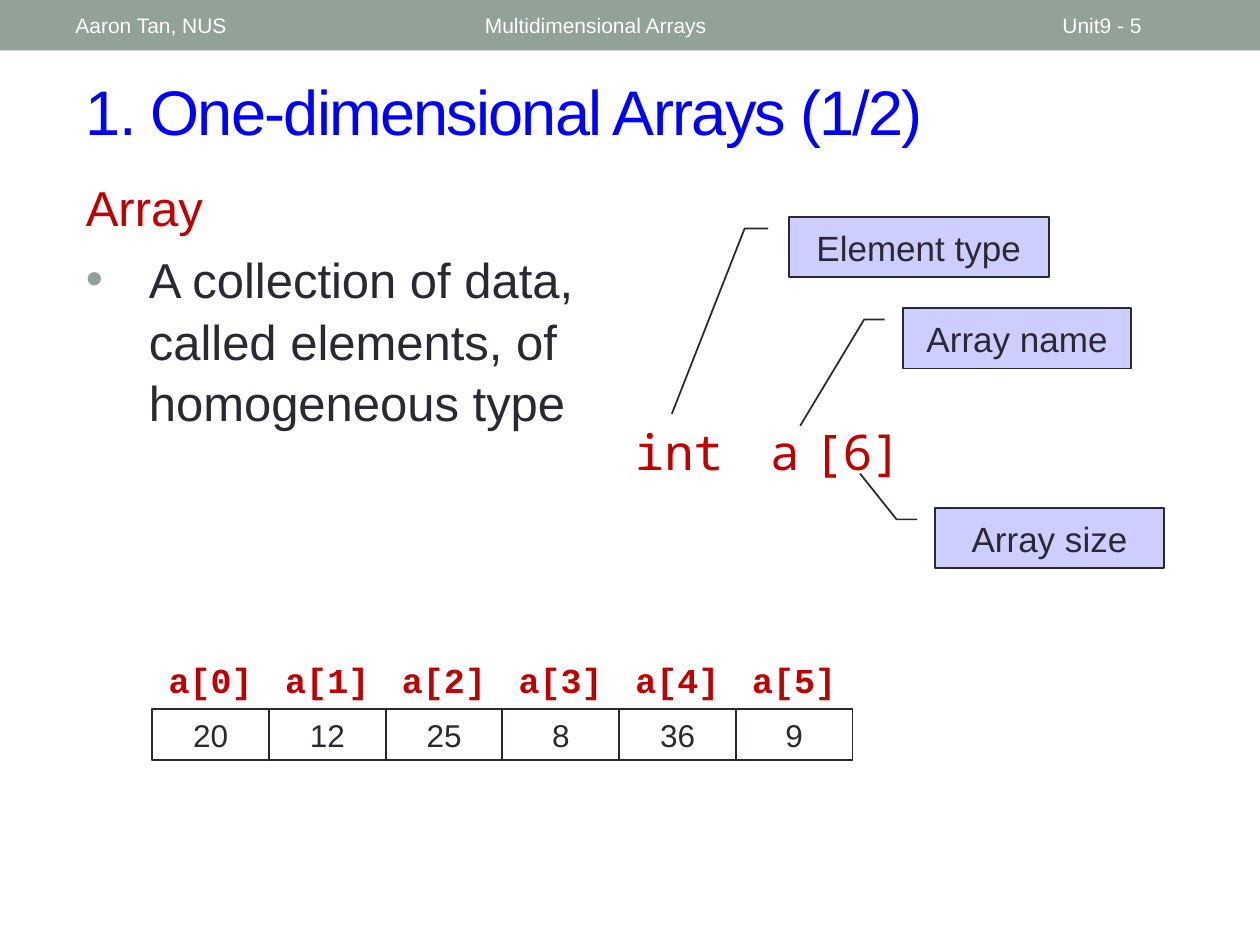
"""Build a slide that introduces one-dimensional arrays."""
import pptx
import pptx.dml.color
import pptx.enum.shapes
import pptx.enum.text
import pptx.oxml
import pptx.oxml.ns
import pptx.util

Pt = pptx.util.Pt
RGBColor = pptx.dml.color.RGBColor
SHAPES = pptx.enum.shapes.MSO_SHAPE
ALIGN = pptx.enum.text.PP_ALIGN
ANCHOR = pptx.enum.text.MSO_ANCHOR

SAGE = RGBColor(0x93, 0xA2, 0x99)
BLUE = RGBColor(0x00, 0x00, 0xFF)
RED = RGBColor(0xC0, 0x00, 0x00)
INK = RGBColor(0x29, 0x29, 0x34)
LAVENDER = RGBColor(0xCD, 0xCD, 0xFF)
WHITE = RGBColor(0xFF, 0xFF, 0xFF)


class SlideBuilder:
    """Hold the slide and its style, and add each kind of element."""

    def __init__(self, slide):
        self.slide = slide
        self.base = {"name": "Arial", "size": Pt(18), "bold": False}

    def add_text(self, paragraph, text, color, alignment=ALIGN.LEFT, **formats):
        paragraph.alignment = alignment
        run = paragraph.add_run()
        run.text = text
        for name, value in {**self.base, **formats}.items():
            setattr(run.font, name, value)
        run.font.color.rgb = color
        return run

    def text_box(self, bounds, anchor=ANCHOR.TOP):
        frame = self.slide.shapes.add_textbox(*map(Pt, bounds)).text_frame
        frame.word_wrap = True
        frame.vertical_anchor = anchor
        return frame

    def label(self, bounds, text, color, alignment=ALIGN.LEFT, anchor=ANCHOR.TOP, **formats):
        frame = self.text_box(bounds, anchor)
        return self.add_text(frame.paragraphs[0], text, color, alignment, **formats)

    def box(self, bounds, text="", fill=None, line=INK, kind=SHAPES.RECTANGLE, **formats):
        shape = self.slide.shapes.add_shape(kind, *map(Pt, bounds))
        shape.shadow.inherit = False
        for part, color in ((shape.fill, fill), (shape.line.fill, line)):
            if color is None:
                part.background()
            else:
                part.solid()
                part.fore_color.rgb = color
        if line is not None:
            shape.line.width = Pt(1)
        if text:
            shape.text_frame.vertical_anchor = ANCHOR.MIDDLE
            self.add_text(shape.text_frame.paragraphs[0], text, INK, ALIGN.CENTER, **formats)
        return shape

    def callout(self, bounds, text, tip_y, tip_x):
        shape = self.box(bounds, text, LAVENDER, kind=SHAPES.LINE_CALLOUT_2, size=Pt(20))
        for index, value in enumerate((0.19, -0.08, 0.19, -0.17, tip_y, tip_x)):
            shape.adjustments[index] = value

    def hang(self, paragraph, bullet=None):
        properties = paragraph._p.get_or_add_pPr()
        properties.set("marL", str(Pt(36)))
        properties.set("indent", str(-Pt(36)))
        namespace = pptx.oxml.ns.nsdecls("a")
        if bullet:
            elements = (
                f'<a:buClr {namespace}><a:srgbClr val="{SAGE}"/></a:buClr>',
                f'<a:buFont {namespace} typeface="Arial"/>',
                f'<a:buChar {namespace} char="{bullet}"/>',
            )
        else:
            elements = (f"<a:buNone {namespace}/>",)
        for element in elements:
            properties.append(pptx.oxml.parse_xml(element))


def main():
    presentation = pptx.Presentation()
    presentation.slide_width, presentation.slide_height = Pt(720), Pt(540)
    builder = SlideBuilder(presentation.slides.add_slide(presentation.slide_layouts[6]))

    builder.box((0, 0, 720, 28.8), fill=SAGE, line=None)
    for left, width, text in (
        (36, 228, "Aaron Tan, NUS"),
        (270, 324, "Multidimensional Arrays"),
        (600, 84, "Unit9 - 5"),
    ):
        builder.label((left, 1.5, width, 26), text, WHITE, anchor=ANCHOR.MIDDLE, size=Pt(12))

    title = builder.label((42, 30, 660, 66), "1. One-dimensional Arrays (1/2)", BLUE,
                          anchor=ANCHOR.MIDDLE, size=Pt(36))
    title.font._element.set("spc", "-100")

    body = builder.text_box((42, 96, 304.5, 155))
    heading, definition = body.paragraphs[0], body.add_paragraph()
    builder.hang(heading)
    builder.hang(definition, "•")
    definition.space_before = Pt(6)
    builder.add_text(heading, "Array", RED, size=Pt(28))
    builder.add_text(definition, "A collection of data, called elements, of homogeneous type",
                     INK, size=Pt(28))
    for paragraph in body.paragraphs:
        paragraph.line_spacing = 1.05

    for left, width, text in ((354, 68, "int"), (422, 53, "a"), (456, 68, "[6]")):
        builder.label((left, 237.5, width, 41), text, RED, ALIGN.CENTER,
                      name="Noto Sans Mono", size=Pt(28))

    for left, top, width, text, tip_y, tip_x in (
        (450.75, 124, 148.5, "Element type", 3.26, -0.45),
        (516, 176, 130.5, "Array name", 1.95, -0.45),
        (534.5, 290.25, 130.5, "Array size", -0.57, -0.33),
    ):
        builder.callout((left, top, width, 34.5), text, tip_y, tip_x)

    cell_width = 66.7
    for index, value in enumerate((20, 12, 25, 8, 36, 9)):
        left = 87 + index * cell_width
        builder.box((left, 405, cell_width, 29.5), str(value))
        builder.label((left, 373, cell_width, 31.5), f"a[{index}]", RED, ALIGN.CENTER,
                      name="Courier New", size=Pt(20), bold=True)

    presentation.save("out.pptx")


if __name__ == "__main__":
    main()
